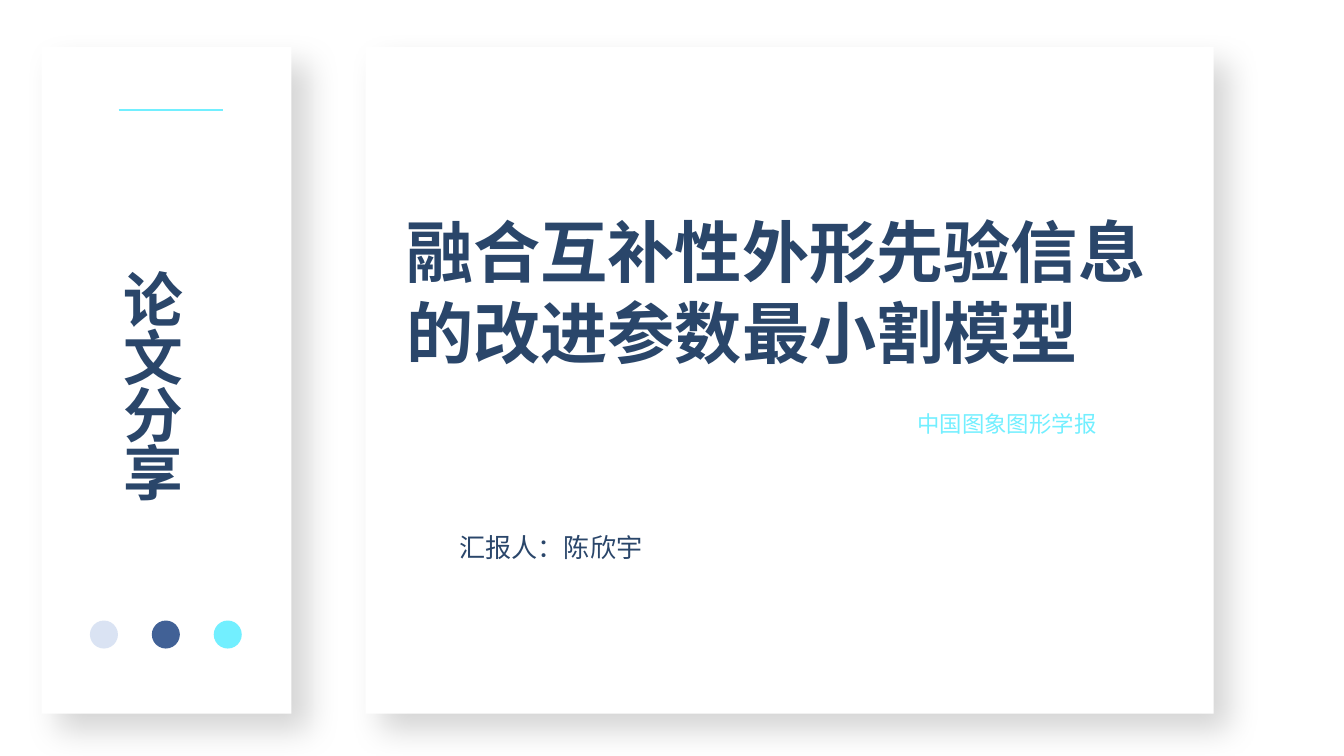
from lxml import etree
from pptx import Presentation
from pptx.dml.color import RGBColor
from pptx.enum.shapes import MSO_CONNECTOR, MSO_SHAPE
from pptx.enum.text import MSO_ANCHOR, MSO_AUTO_SIZE, PP_ALIGN
from pptx.oxml import parse_xml
from pptx.oxml.ns import nsdecls, qn
from pptx.util import Cm, Pt

RECT, OVAL = MSO_SHAPE.RECTANGLE, MSO_SHAPE.OVAL
LEFT, JUSTIFY = PP_ALIGN.LEFT, PP_ALIGN.JUSTIFY
FONT = "Arial"
NAVY, CYAN, WHITE = "2A466A", "72EFFF", "FFFFFF"

# Content: boxes are left, top, width, height in cm
CARDS = [(0.79, 0.89, 4.72, 12.6), (6.91, 0.89, 16.03, 12.6)]
TITLE = ("融合互补性外形先验信息的改进参数最小割模型",
         (7.42, 3.07, 14.58, 4.09), 36, NAVY, True, LEFT, None)
LABELS = [
    # text, box, size, colour, bold, alignment, line spacing
    ("论文分享", (2.08, 4.09, 1.57, 5.61), 32, NAVY, True, LEFT, 0.8),
    ("中国图象图形学报", (17.09, 7.29, 4.93, 1.09), 12, CYAN, False, JUSTIFY, None),
    ("汇报人：陈欣宇", (8.43, 9.7, 4.65, 1.07), 14, NAVY, False, LEFT, None),
]
DOT_COLORS = ["DAE3F3", "416196", CYAN]
DOT_LEFT, DOT_TOP, DOT_SIZE, DOT_STEP = 1.7, 11.73, 0.53, 1.17
RULE = (2.24, 2.08, 4.22, 2.08)  # from x, y to x, y


def rgb(color):
    return RGBColor.from_string(color)


def cm(values):
    return [Cm(v) for v in values]


def add_plain(shapes, kind, box, color):
    sp = shapes.add_shape(kind, *cm(box))
    sp.shadow.inherit = False
    sp.fill.solid()
    sp.fill.fore_color.rgb = rgb(color)
    sp.line.fill.background()
    return sp


def add_shadow(sp):
    effects = sp._element.spPr.find(qn("a:effectLst"))
    effects.append(parse_xml(
        f'<a:outerShdw {nsdecls("a")} blurRad="{Pt(17)}" dist="{Pt(12)}" '
        'dir="2700000" algn="tl" rotWithShape="0"><a:srgbClr val="000000">'
        '<a:alpha val="16000"/></a:srgbClr></a:outerShdw>'))


def write(sp, text, box, size, color, bold, align, spacing):
    sp.left, sp.top, sp.width, sp.height = cm(box)
    tf = sp.text_frame
    tf.text = text
    tf.word_wrap = True
    tf.auto_size = MSO_AUTO_SIZE.NONE
    tf.vertical_anchor = MSO_ANCHOR.BOTTOM
    p = tf.paragraphs[0]
    p.alignment = align
    if spacing:
        p.line_spacing = spacing
    r = p.runs[0]
    r.font.name, r.font.size, r.font.bold = FONT, Pt(size), bold
    r.font.color.rgb = rgb(color)
    # East Asian typeface
    etree.SubElement(r.font._element, qn("a:ea")).set("typeface", FONT)


prs = Presentation()
prs.slide_width, prs.slide_height = Cm(25.4), Cm(14.29)
s = prs.slides.add_slide(prs.slide_layouts[5])
s.background.fill.solid()
s.background.fill.fore_color.rgb = rgb(WHITE)

# Cards
for box in CARDS:
    card = add_plain(s.shapes, RECT, box, WHITE)
    add_shadow(card)

# Title, placed in front of the cards
title = s.shapes.title
write(title, *TITLE)
card._element.addnext(title._element)

# Labels
for label in LABELS:
    write(s.shapes.add_textbox(0, 0, 0, 0), *label)

# Row of dots
dots = s.shapes.add_group_shape()
for i, color in enumerate(DOT_COLORS):
    box = (DOT_LEFT + i * DOT_STEP, DOT_TOP, DOT_SIZE, DOT_SIZE)
    add_plain(dots.shapes, OVAL, box, color)

# Rule above the side label
rule = s.shapes.add_connector(MSO_CONNECTOR.STRAIGHT, *cm(RULE))
rule.line.color.rgb = rgb(CYAN)
rule.line.width = Pt(1)
etree.SubElement(rule._element.spPr, qn("a:effectLst"))

prs.save("out.pptx")
